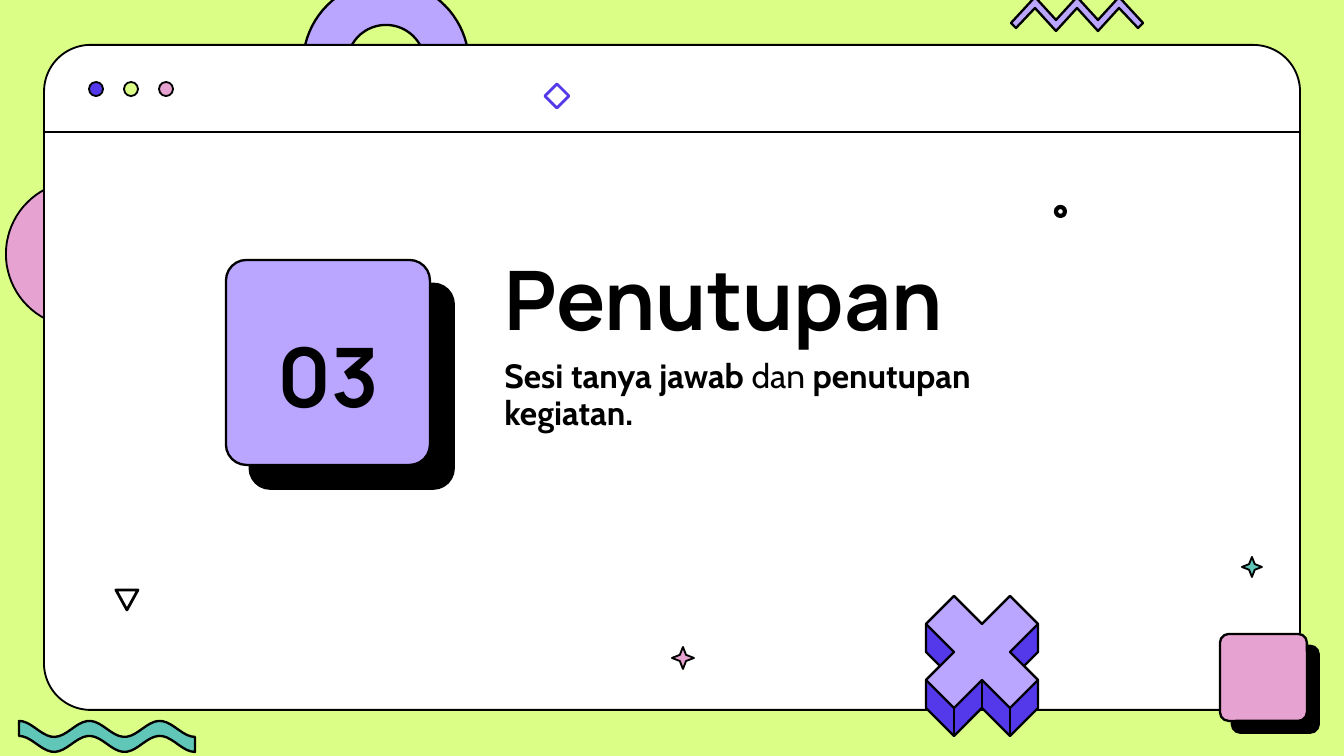
"""Build the closing section slide, a browser window among geometric ornaments."""
from math import cos, pi, radians, sin

from lxml import etree
from pptx import Presentation
from pptx.dml.color import RGBColor
from pptx.enum.shapes import MSO_CONNECTOR, MSO_SHAPE
from pptx.enum.text import MSO_ANCHOR, MSO_AUTO_SIZE, PP_ALIGN
from pptx.oxml import parse_xml
from pptx.oxml.ns import nsdecls, qn
from pptx.util import Pt

ROUND, OVAL = MSO_SHAPE.ROUNDED_RECTANGLE, MSO_SHAPE.OVAL
STAR, DIAMOND = MSO_SHAPE.STAR_4_POINT, MSO_SHAPE.DIAMOND
STRAIGHT = MSO_CONNECTOR.STRAIGHT
TOP, MIDDLE = MSO_ANCHOR.TOP, MSO_ANCHOR.MIDDLE
LEFT, CENTER = PP_ALIGN.LEFT, PP_ALIGN.CENTER
PX = 914400 / 134.4
COLORS = {"lime": "DBFE87", "lilac": "BAA5FF", "pink": "E6A2D0", "teal": "60C7B8",
          "indigo": "5339EA", "white": "FFFFFF", "black": "000000"}


def emu(*lengths):
    return [round(v * PX) for v in lengths]


def rgb(name):
    return RGBColor.from_string(COLORS[name])


def arc(cx, cy, radius, start, end, steps=40):
    angles = [radians(start + (end - start) * i / steps) for i in range(steps + 1)]
    return [(cx + radius * cos(a), cy + radius * sin(a)) for a in angles]


def add_run(p, text, font="Cabin", size=18, color="black", bold=True):
    r = p.add_run()
    r.text = text
    r.font.name, r.font.size, r.font.bold = font, Pt(size), bold
    r.font.color.rgb = rgb(color)


class Board:
    def __init__(self, prs, layout, background):
        self.s = prs.slides.add_slide(layout)
        self.s.background.fill.solid()
        self.s.background.fill.fore_color.rgb = rgb(background)

    def paint(self, sp, fill, line, width):
        sp.shadow.inherit = False
        if fill:
            sp.fill.solid()
            sp.fill.fore_color.rgb = rgb(fill)
        else:
            sp.fill.background()
        sp.line.color.rgb, sp.line.width = rgb(line), Pt(width)
        return sp

    def shape(self, kind, box, fill=None, line="black", width=1, adj=None):
        sp = self.s.shapes.add_shape(kind, *emu(*box))
        if adj is not None:
            sp.adjustments[0] = adj
        return self.paint(sp, fill, line, width)

    def card(self, box, fill, offset):
        sp = self.shape(ROUND, box, fill, width=1.25, adj=0.1)
        effects = sp._element.spPr.find(qn("a:effectLst"))
        effects.append(parse_xml(
            f'<a:outerShdw {nsdecls("a")} blurRad="0" dist="{Pt(offset)}" dir="2700000" '
            f'algn="bl" rotWithShape="0"><a:srgbClr val="{COLORS["black"]}"/></a:outerShdw>'))

    def outline(self, points, fill=None, width=1.25):
        start, *rest = [emu(*pt) for pt in points]
        builder = self.s.shapes.build_freeform(*start)
        builder.add_line_segments(rest, close=True)
        self.paint(builder.convert_to_shape(), fill, "black", width)

    def line(self, x1, y1, x2, y2, width=1):
        cx = self.s.shapes.add_connector(STRAIGHT, *emu(x1, y1, x2, y2))
        cx.line.color.rgb, cx.line.width = rgb("black"), Pt(width)
        etree.SubElement(cx._element.spPr, qn("a:effectLst"))

    def text(self, idx, box, runs, anchor=TOP, align=LEFT, before=0):
        sp = self.s.placeholders[idx]
        self.s.shapes._spTree.append(sp._element)
        sp.left, sp.top, sp.width, sp.height = emu(*box)
        tf = sp.text_frame
        tf.word_wrap, tf.auto_size, tf.vertical_anchor = True, MSO_AUTO_SIZE.NONE, anchor
        p = tf.paragraphs[0]
        p.alignment, p.line_spacing, p.space_before = align, 0.9, Pt(before)
        pPr = p._p.get_or_add_pPr()
        pPr.set("marL", "0")
        pPr.set("indent", "0")
        etree.SubElement(pPr, qn("a:buNone"))
        for text, style in runs:
            add_run(p, text, **style)


prs = Presentation()
prs.slide_width, prs.slide_height = emu(1344, 756)
board = Board(prs, prs.slide_layouts[3], "lime")

board.outline(arc(386, 64, 83, 180, 360) + arc(447, 64, 22, 0, 180)
              + arc(386, 64, 39, 360, 180) + arc(325, 64, 22, 0, 180), "lilac")
board.outline(arc(79, 254, 73, 90, 270), "pink", width=1)
board.shape(ROUND, (44, 45, 1256, 665), "white", adj=0.07)
board.line(44, 132, 1300, 132)
for i, color in enumerate(("indigo", "lime", "pink")):
    board.shape(OVAL, (89 + 35 * i, 82, 14, 14), color)

board.card((226, 260, 204, 205), "lilac", 18)
heading = {"font": "Manrope", "size": 44}
board.text(0, (491, 253, 626, 195), [("Penutupan", heading)])
board.text(1, (491, 353, 582, 63), [("Sesi tanya jawab", {}), (" dan ", {"bold": False}),
                                    ("penutupan kegiatan.", {})], before=7.5)
board.text(2, (227, 328, 203, 106), [("03", heading)], MIDDLE, CENTER, before=7.5)

board.shape(STAR, (672, 647, 22, 22), "pink", adj=0.2)
board.shape(STAR, (1242, 557, 20, 20), "teal", adj=0.2)
board.outline([(116, 590), (138, 590), (127, 610)], width=1.5)
board.shape(DIAMOND, (545, 84, 24, 24), line="indigo", width=1.5)
board.shape(OVAL, (1056, 207, 9, 9), width=2.25)

x, y, arm = 982, 652, 28
cross = [(0, -1), (1, -2), (2, -1), (1, 0), (2, 1), (1, 2),
         (0, 1), (-1, 2), (-2, 1), (-1, 0), (-2, -1), (-1, -2)]
block = [(0, -1), (1, -2), (2, -1), (2, 0), (1.5, 0.5), (2, 1), (2, 2), (1, 3),
         (0, 2), (-1, 3), (-2, 2), (-2, 1), (-1.5, 0.5), (-2, 0), (-2, -1), (-1, -2)]
for corners, color in ((block, "indigo"), (cross, "lilac")):
    board.outline([(x + arm * i, y + arm * j) for i, j in corners], color)
for i, j in ((-1, 2), (0, 1), (1, 2)):
    board.line(x + arm * i, y + arm * j, x + arm * i, y + arm * (j + 1), 1.25)

board.card((1220, 634, 87, 87), "pink", 9)
crest = [(19 + t, 729 - 8 * cos(5 * pi * t / 176)) for t in range(0, 177, 4)]
board.outline(crest + [(px, py + 15) for px, py in reversed(crest)], "teal")
upper = [(1011, 23), (1035, -3), (1056, 20), (1077, -3), (1098, 20), (1119, -3), (1143, 23)]
lower = [(1138, 28), (1119, 8), (1098, 31), (1077, 8), (1056, 31), (1035, 8), (1016, 28)]
board.outline(upper + lower, "lilac")
prs.save("out.pptx")
